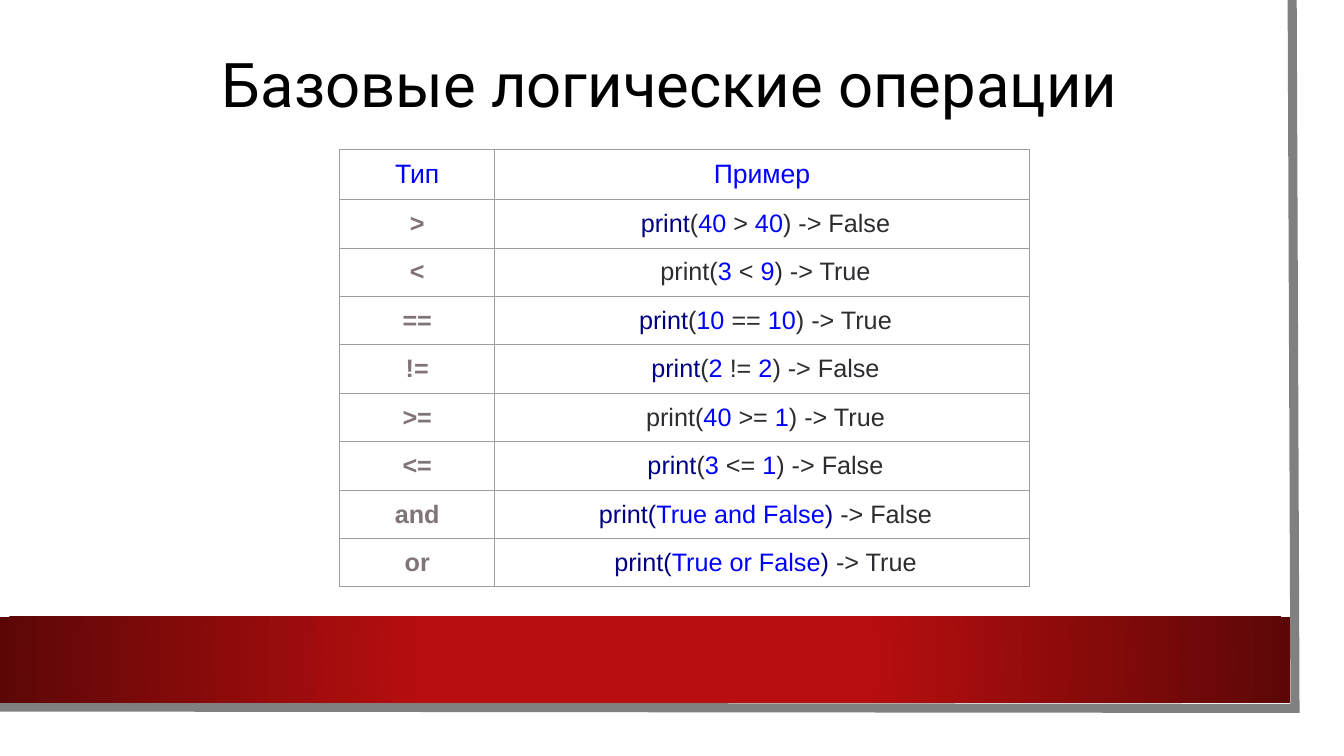
from dataclasses import dataclass

from pptx import Presentation
from pptx.dml.color import RGBColor
from pptx.enum.shapes import MSO_SHAPE
from pptx.enum.text import MSO_ANCHOR, MSO_AUTO_SIZE, PP_ALIGN
from pptx.oxml import parse_xml
from pptx.oxml.ns import nsdecls, qn
from pptx.util import Pt


@dataclass(frozen=True)
class Theme:
    paper: str = "FFFFFF"
    edge: str = "808080"
    band_center: str = "B80E0F"
    band_rim: str = "5C0707"
    grid: str = "9E9E9E"
    title: str = "000000"
    value: str = "0000FF"
    operator: str = "80737A"
    function: str = "000080"
    code: str = "2C2D30"
    title_font: str = "Roboto"
    body_font: str = "Arial"
    title_size: float = 44
    header_size: float = 19
    body_size: float = 18


THEME = Theme()


def call(text):
    return text, THEME.function


def value(text):
    return text, THEME.value


def code(text):
    return text, THEME.code


def comparison(left, operator, right, result, opening=(call("print"), code("("))):
    return [*opening, value(f"{left} "), code(f"{operator} "), value(right),
            code(f") -> {result}")]


def logic(expression, result):
    return [call("print("), value(expression), call(") "), code(f"-> {result}")]


PLAIN = (code("print("),)
OPERATIONS = [
    (">", comparison("40", ">", "40", "False")),
    ("<", comparison("3", "<", "9", "True", PLAIN)),
    ("==", comparison("10", "==", "10", "True")),
    ("!=", comparison("2", "!=", "2", "False")),
    (">=", comparison("40", ">=", "1", "True", PLAIN)),
    ("<=", comparison("3", "<=", "1", "False")),
    ("and", logic("True and False", "False")),
    ("or", logic("True or False", "True")),
]


class SlideBuilder:
    def __init__(self, slide, theme):
        self.slide = slide
        self.theme = theme

    def rectangle(self, left, top, width, height):
        shape = self.slide.shapes.add_shape(
            MSO_SHAPE.RECTANGLE, Pt(left), Pt(top), Pt(width), Pt(height))
        shape.shadow.inherit = False
        shape.line.fill.background()
        return shape

    def paper(self, *box):
        fill = self.rectangle(*box).fill
        fill.solid()
        fill.fore_color.rgb = RGBColor.from_string(self.theme.paper)

    def edge(self, start, *corners, weight):
        """Draw the open grey outline along the paper's right and bottom."""
        builder = self.slide.shapes.build_freeform(*start, scale=Pt(1))
        builder.add_line_segments(corners, close=False)
        outline = builder.convert_to_shape()
        outline.shadow.inherit = False
        outline.fill.background()
        outline.line.color.rgb = RGBColor.from_string(self.theme.edge)
        outline.line.width = Pt(weight)
        outline.line._ln.append(parse_xml(f'<a:miter {nsdecls("a")} lim="800000"/>'))

    def band(self, *box):
        """Draw the red band, which darkens outwards from its centre."""
        properties = self.rectangle(*box).element.spPr
        properties.find(qn("a:ln")).addprevious(parse_xml(
            f'<a:gradFill {nsdecls("a")} rotWithShape="1"><a:gsLst>'
            f'<a:gs pos="34000"><a:srgbClr val="{self.theme.band_center}"/></a:gs>'
            f'<a:gs pos="100000"><a:srgbClr val="{self.theme.band_rim}"/></a:gs>'
            '</a:gsLst><a:path path="circle">'
            '<a:fillToRect l="50000" t="50000" r="50000" b="50000"/>'
            '</a:path></a:gradFill>'))

    def run(self, paragraph, text, color, size, font, bold=False):
        run = paragraph.add_run()
        run.text = text
        run.font.name = font
        run.font.size = Pt(size)
        run.font.bold = bold
        run.font.color.rgb = RGBColor.from_string(color)

    def title(self, text, left, top, width, height):
        title = self.slide.shapes.title
        title.element.getparent().append(title.element)  # bring to front
        title.left, title.top = Pt(left), Pt(top)
        title.width, title.height = Pt(width), Pt(height)
        frame = title.text_frame
        frame.auto_size = MSO_AUTO_SIZE.NONE
        frame.vertical_anchor = MSO_ANCHOR.BOTTOM
        paragraph = frame.paragraphs[0]
        paragraph.alignment = PP_ALIGN.LEFT
        paragraph.line_spacing = 0.9
        self.run(paragraph, text, self.theme.title, self.theme.title_size,
                 self.theme.title_font)

    def cell(self, cell, runs, size, bold=False, indent=0):
        cell.fill.background()
        cell.margin_left = cell.margin_right = Pt(7.2)
        cell.margin_top = cell.margin_bottom = Pt(7.2)
        paragraph = cell.text_frame.paragraphs[0]
        paragraph.alignment = PP_ALIGN.CENTER
        if indent:
            paragraph._p.get_or_add_pPr().set("marL", str(Pt(indent)))
        for text, color in runs:
            self.run(paragraph, text, color, size, self.theme.body_font, bold)
        properties = cell._tc.get_or_add_tcPr()
        for position, side in enumerate(("lnL", "lnR", "lnT", "lnB")):
            properties.insert(position, parse_xml(
                f'<a:{side} {nsdecls("a")} w="{Pt(0.75)}"><a:solidFill>'
                f'<a:srgbClr val="{self.theme.grid}"/></a:solidFill></a:{side}>'))

    def operations_table(self, headings, operations, left, top, widths, heights):
        header_height, row_height = heights
        total = header_height + row_height * len(operations)
        table = self.slide.shapes.add_table(
            len(operations) + 1, len(widths), Pt(left), Pt(top),
            Pt(sum(widths)), Pt(total)).table
        table.first_row = table.horz_banding = False
        for column, width in zip(table.columns, widths):
            column.width = Pt(width)
        for index, row in enumerate(table.rows):
            row.height = Pt(row_height if index else header_height)
        for column, heading in enumerate(headings):
            self.cell(table.cell(0, column), [value(heading)], self.theme.header_size)
        for row, (operator, example) in enumerate(operations, start=1):
            self.cell(table.cell(row, 0), [(operator, self.theme.operator)],
                      self.theme.body_size, bold=True)
            self.cell(table.cell(row, 1), example, self.theme.body_size, indent=5)


def main():
    presentation = Presentation()
    presentation.slide_width, presentation.slide_height = Pt(960), Pt(540)
    slide = presentation.slides.add_slide(presentation.slide_layouts[5])
    builder = SlideBuilder(slide, THEME)
    builder.paper(0, 0, 943, 523.5)
    builder.edge((923, 0), (925, 505.5), (-2, 504.7), weight=6.5)
    builder.band(0, 440.6, 921.6, 61.4)
    builder.title("Базовые логические операции", 151.2, 28, 689.8, 62)
    builder.operations_table(("Тип", "Пример"), OPERATIONS, 242.6, 107,
                             widths=(110.9, 381.6), heights=(35.6, 34.5))
    presentation.save("out.pptx")


if __name__ == "__main__":
    main()
